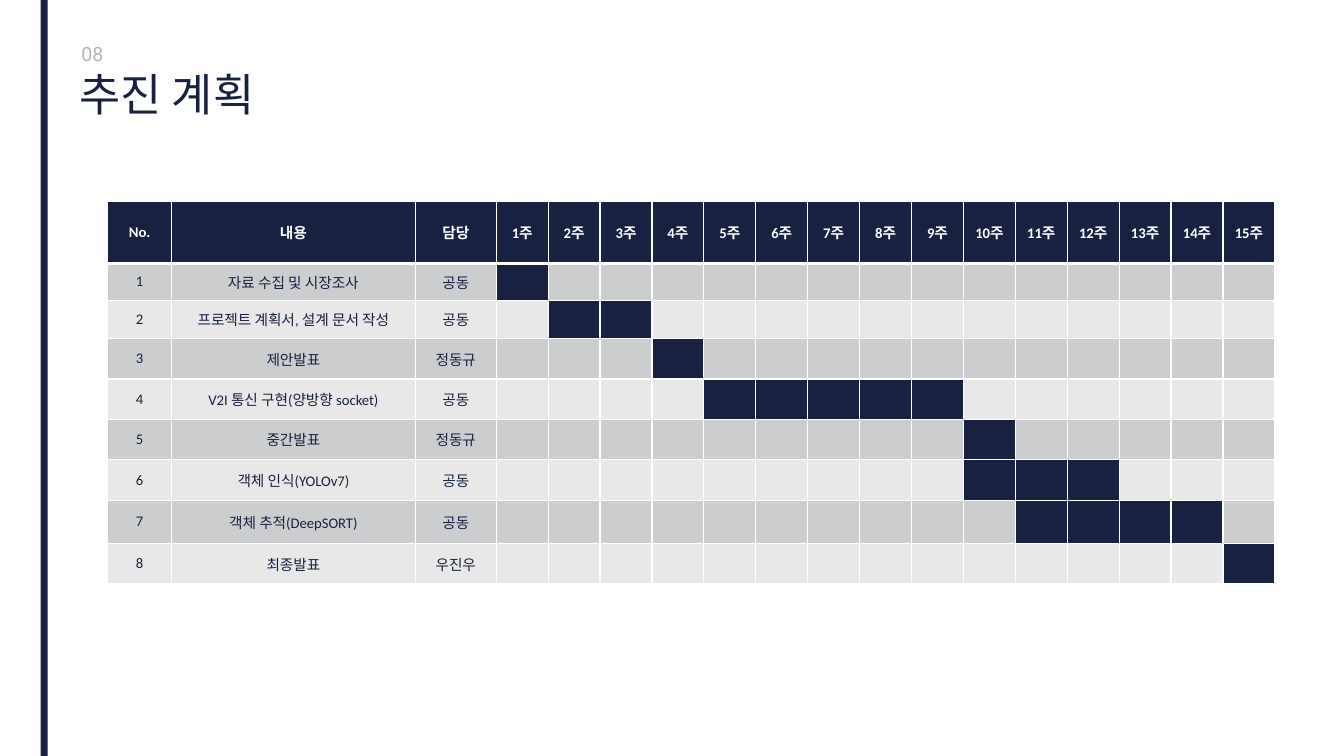
from lxml import etree
from pptx import Presentation
from pptx.dml.color import RGBColor
from pptx.enum import shapes, text
from pptx.oxml import ns
from pptx.util import Pt

NAVY, WHITE, GREY = "182240", "FFFFFF", "AFB5BA"
BANDS = ["CCCDCF", "E8E8E8"]
WEEKS = 15
TASKS = [
    ("자료 수집 및 시장조사", "공동", 1, 1),
    ("프로젝트 계획서, 설계 문서 작성", "공동", 2, 3),
    ("제안발표", "정동규", 4, 4),
    ("V2I 통신 구현(양방향 socket)", "공동", 5, 9),
    ("중간발표", "정동규", 10, 10),
    ("객체 인식(YOLOv7)", "공동", 10, 12),
    ("객체 추적(DeepSORT)", "공동", 11, 14),
    ("최종발표", "우진우", 15, 15),
]
COLUMN_WIDTHS = [45.5, 174.2, 57.8] + [37.1] * WEEKS
ROW_HEIGHTS = [44.6, 26.4, 27.2, 28.9, 28.9, 28.9, 28.9, 31, 28.9]


def rgb(value):
    return RGBColor.from_string(value)


class Deck:
    font = "Calibri"
    cell_size = 10.5

    def __init__(self, prs):
        self.s = prs.slides.add_slide(prs.slide_layouts[6])

    def bar(self, x, y, w, h, color):
        sp = self.s.shapes.add_shape(shapes.MSO_SHAPE.RECTANGLE, Pt(x), Pt(y), Pt(w), Pt(h))
        sp.shadow.inherit = False
        sp.fill.solid()
        sp.fill.fore_color.rgb = rgb(color)
        sp.line.fill.background()

    def run(self, p, words, size, color, font=None, bold=False):
        r = p.add_run()
        r.text = words
        r.font.name = font or self.font
        r.font.size = Pt(size)
        r.font.bold = bold
        r.font.color.rgb = rgb(color)

    def label(self, x, y, w, h, words, size, color, font=None, spacing=1.0):
        tf = self.s.shapes.add_textbox(Pt(x), Pt(y), Pt(w), Pt(h)).text_frame
        tf.word_wrap = True
        p = tf.paragraphs[0]
        p.line_spacing = spacing
        self.run(p, words, size, color, font)

    def border(self, cell, top, bottom):
        tcPr = cell._tc.get_or_add_tcPr()
        for i, (side, width) in enumerate(zip("LRTB", (1, 1, top, bottom))):
            ln = etree.Element(ns.qn(f"a:ln{side}"), w=str(Pt(width)))
            fill = etree.SubElement(ln, ns.qn("a:solidFill"))
            etree.SubElement(fill, ns.qn("a:srgbClr"), val=WHITE)
            tcPr.insert(i, ln)

    def cell(self, cell, words, fill, color, bold, top, bottom):
        cell.fill.solid()
        cell.fill.fore_color.rgb = rgb(fill)
        cell.vertical_anchor = text.MSO_ANCHOR.MIDDLE
        self.border(cell, top, bottom)
        p = cell.text_frame.paragraphs[0]
        p.alignment = text.PP_ALIGN.CENTER
        if words:
            self.run(p, words, self.cell_size, color, bold=bold)
        else:
            etree.SubElement(p._p, ns.qn("a:endParaRPr"), sz=str(int(self.cell_size * 100)))

    def schedule(self, x, y, widths, heights, header, tasks):
        frame = self.s.shapes.add_table(len(heights), len(widths), Pt(x), Pt(y),
                                        Pt(sum(widths)), Pt(sum(heights)))
        table = frame.table
        for column, width in zip(table.columns, widths):
            column.width = Pt(width)
        for row, height in zip(table.rows, heights):
            row.height = Pt(height)
        for c, words in enumerate(header):
            self.cell(table.cell(0, c), words, NAVY, WHITE, True, 1, 3)
        for n, (task, owner, first, last) in enumerate(tasks, 1):
            band = BANDS[(n - 1) % 2]
            top = 3 if n == 1 else 1
            for c, words in enumerate((str(n), task, owner)):
                self.cell(table.cell(n, c), words, band, NAVY, False, top, 1)
            for week in range(1, WEEKS + 1):
                fill = NAVY if first <= week <= last else band
                self.cell(table.cell(n, week + 2), "", fill, NAVY, False, top, 1)


def main():
    prs = Presentation()
    prs.slide_width, prs.slide_height = Pt(960), Pt(540)
    deck = Deck(prs)
    deck.bar(29, 0, 5, 540, NAVY)
    deck.label(49.7, 48.2, 221, 60, "추진 계획", 32, NAVY, spacing=0.9)
    deck.label(51.1, 26.6, 108.7, 24.5, "08", 14, GREY, font="Roboto")
    header = ["No.", "내용", "담당"] + [f"{week}주" for week in range(1, WEEKS + 1)]
    deck.schedule(77, 143.6, COLUMN_WIDTHS, ROW_HEIGHTS, header, TASKS)
    prs.save("out.pptx")


if __name__ == "__main__":
    main()
